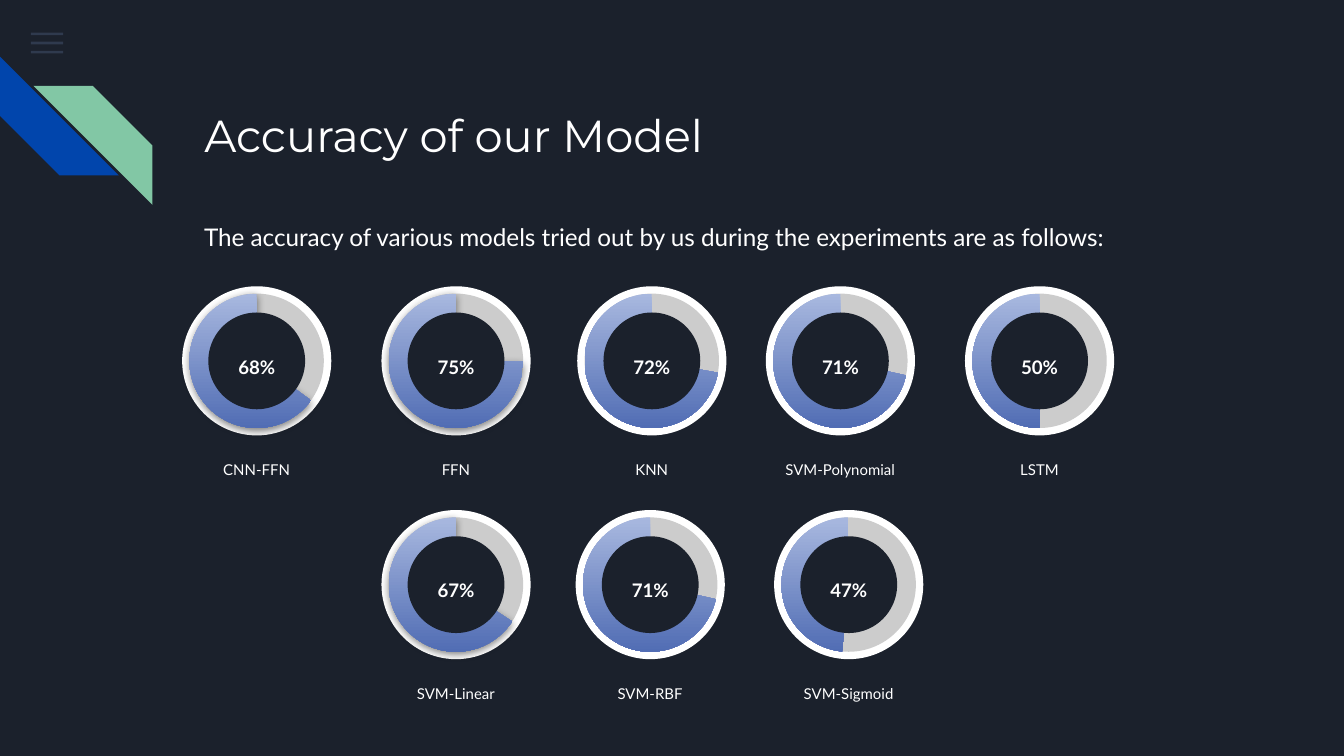
from lxml.etree import SubElement
from pptx import Presentation
from pptx.dml.color import RGBColor
from pptx.enum.shapes import MSO_SHAPE as Shape
from pptx.enum.text import MSO_ANCHOR as Anchor, MSO_AUTO_SIZE as AutoSize, PP_ALIGN as Align
from pptx.oxml.ns import qn
from pptx.util import Inches, Pt

CELL = Inches(0.1)
COLUMNS, ROWS = 100, 56.25
BACKGROUND, WHITE, TRACK = "1B212C", "FFFFFF", "CCCCCC"
GRADIENT = "A8B8DF", "516DB4"
TOP_ROW, BOTTOM_ROW = 26.85, 43.5
# Model, accuracy, centre column, centre row, start angle, shadow
MODELS = [
    ("CNN-FFN", "68%", 19.1, TOP_ROW, 36.09, True),
    ("KNN", "72%", 48.5, TOP_ROW, 10.24, False),
    ("LSTM", "50%", 77.35, TOP_ROW, 89.68, False),
    ("FFN", "75%", 33.93, TOP_ROW, 0.7, True),
    ("SVM-Polynomial", "71%", 62.53, TOP_ROW, 12.57, False),
    ("SVM-Sigmoid", "47%", 63.15, BOTTOM_ROW, 95.63, False),
    ("SVM-Linear", "67%", 33.93, BOTTOM_ROW, 33.31, True),
    ("SVM-RBF", "71%", 48.38, BOTTOM_ROW, 12.57, False),
]


def color(value):
    """Turn a hex string into a colour."""
    return RGBColor.from_string(value)


def cells(*lengths):
    """Turn grid cells into slide lengths."""
    return [round(length * CELL) for length in lengths]


def add_shape(slide, kind, left, top, width, height, fill=None):
    """Add a plain preset shape without line or shadow."""
    shape = slide.shapes.add_shape(kind, *cells(left, top, width, height))
    if fill:
        shape.fill.solid()
        shape.fill.fore_color.rgb = color(fill)
    shape.line.fill.background()
    shape.shadow.inherit = False
    return shape


def add_circle(slide, column, row, size, fill=None, kind=Shape.OVAL):
    """Add a round shape about a centre."""
    return add_shape(slide, kind, column - size / 2, row - size / 2, size, size, fill)


def write_text(shape, text, size, font="Lato", bold=False, align=Align.LEFT, spacing=1.0, after=16):
    """Fill a text shape with one formatted paragraph."""
    frame = shape.text_frame
    frame.text = text
    frame.word_wrap = True
    frame.auto_size = AutoSize.NONE
    frame.vertical_anchor = Anchor.TOP
    frame.margin_left = frame.margin_right = frame.margin_top = frame.margin_bottom = CELL
    paragraph = frame.paragraphs[0]
    paragraph.alignment = align
    paragraph.line_spacing = spacing
    paragraph.space_before = Pt(0)
    paragraph.space_after = Pt(after)
    run_font = paragraph.runs[0].font
    run_font.name, run_font.size, run_font.bold = font, Pt(size), bold
    run_font.color.rgb = color(WHITE)


def add_text(slide, place, text, size, **style):
    """Add a text box at a place on the grid."""
    write_text(slide.shapes.add_textbox(*cells(*place)), text, size, **style)


def add_shadow(shape):
    """Give a shape a soft shadow below it."""
    effects = shape.element.spPr.find(qn("a:effectLst"))
    shadow = SubElement(effects, qn("a:outerShdw"), blurRad=str(Pt(4.5)), dist=str(Pt(1.5)),
                        dir="5400000", algn="bl", rotWithShape="0")
    black = SubElement(shadow, qn("a:srgbClr"), val="000000")
    SubElement(black, qn("a:alpha"), val="50000")


def add_gauge(slide, model, accuracy, column, row, start, shadowed):
    """Add a ring gauge with its accuracy and model name."""
    add_circle(slide, column, row, 11.1, WHITE)
    add_circle(slide, column, row, 10, TRACK)
    pie = add_circle(slide, column, row, 10, kind=Shape.PIE)
    pie.adjustments[0], pie.adjustments[1] = start * 0.6, 270 * 0.6
    pie.fill.gradient()
    pie.fill.gradient_angle = 270
    for stop, value in zip(pie.fill.gradient_stops, GRADIENT):
        stop.color.rgb = color(value)
    if shadowed:
        add_shadow(pie)
    add_circle(slide, column, row, 7.2, BACKGROUND)
    add_text(slide, (column - 5.8, row + 6.4, 11.6, 4.8), model, 8, align=Align.CENTER)
    add_text(slide, (column - 2.55, row - 1.65, 5.1, 3), accuracy, 10,
             bold=True, align=Align.CENTER, spacing=1.15, after=0)


def add_menu_icon(slide):
    """Add three translucent bars."""
    for index in range(3):
        bar = add_shape(slide, Shape.RECTANGLE, 2.3, 2.42 + 0.68 * index, 2.4, 0.2, "55688B")
        bar_color = bar.element.spPr.find(qn("a:solidFill"))[0]
        SubElement(bar_color, qn("a:alpha"), val="36000")


def add_stripes(slide):
    """Add the two diagonal corner stripes."""
    blue = add_shape(slide, Shape.DIAGONAL_STRIPE, 0, 4.2, 8.85, 8.85, "0145AC")
    blue.rotation = 270
    green = add_shape(slide, Shape.DIAGONAL_STRIPE, 2.5, 6.4, 8.85, 8.85, "82C7A5")
    green.element.spPr.xfrm.set("flipH", "1")


def add_title(slide, text):
    """Place and format the title."""
    title = slide.shapes.title
    title.left, title.top, title.width, title.height = cells(14.2, 6.4, 61.3, 6.5)
    write_text(title, text, 24, font="Montserrat", spacing=1.15)


def main():
    """Build the accuracy slide."""
    presentation = Presentation()
    presentation.slide_width, presentation.slide_height = cells(COLUMNS, ROWS)
    slide = presentation.slides.add_slide(presentation.slide_layouts[5])
    slide.background.fill.solid()
    slide.background.fill.fore_color.rgb = color(BACKGROUND)
    add_menu_icon(slide)
    add_stripes(slide)
    add_title(slide, "Accuracy of our Model")
    add_text(slide, (14.2, 15.2, 69.5, 3.7),
             "The accuracy of various models tried out by us during the experiments are as follows:",
             13, spacing=1.15)
    for model in MODELS:
        add_gauge(slide, *model)
    presentation.save("out.pptx")


if __name__ == "__main__":
    main()
